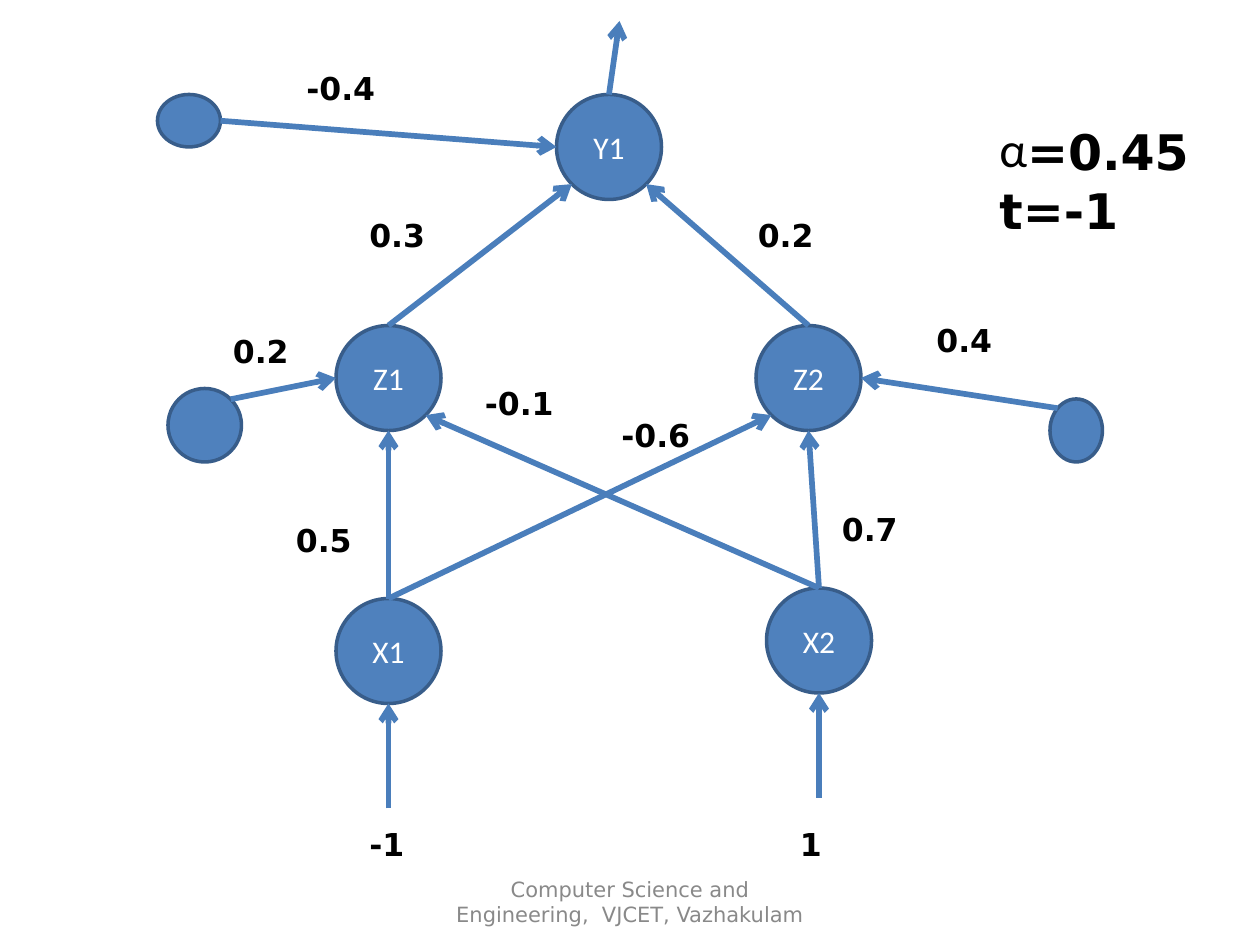
import math

from lxml import etree
from pptx import Presentation
from pptx.dml.color import RGBColor
from pptx.enum.shapes import MSO_CONNECTOR, MSO_SHAPE
from pptx.enum.text import MSO_ANCHOR, PP_ALIGN
from pptx.oxml.ns import qn
from pptx.util import Pt

ELLIPSE = MSO_SHAPE.OVAL
STRAIGHT = MSO_CONNECTOR.STRAIGHT
MIDDLE = MSO_ANCHOR.MIDDLE
CENTER = PP_ALIGN.CENTER

NODE_FILL = RGBColor(0x4F, 0x81, 0xBD)
NODE_LINE = RGBColor(0x38, 0x5D, 0x8A)
ARROW_COLOR = RGBColor(0x4A, 0x7E, 0xBB)
BLACK = RGBColor(0, 0, 0)
WHITE = RGBColor(0xFF, 0xFF, 0xFF)
FOOTER_GREY = RGBColor(0x89, 0x89, 0x89)

NODE_FONT = "Calibri"
TEXT_FONT = "DejaVu Sans"
NODE_SIZE = 60
LABEL_HEIGHT = 29

# Connection sites of an ellipse, counted anticlockwise in steps of 45 degrees
TOP, TOP_LEFT, LEFT, BOTTOM_LEFT, BOTTOM, BOTTOM_RIGHT, RIGHT, TOP_RIGHT = range(8)

# name: (left, top) of each neuron
NEURONS = {
    "X1": (192, 342),
    "X2": (438, 336),
    "Z2": (432, 186),
    "Z1": (192, 186),
    "Y1": (318, 54),
}

# name: (left, top, width, height) of each bias node
BIASES = {
    "Z2 bias": (600, 228, 30, 36),
    "Z1 bias": (96, 222, 42, 42),
    "Y1 bias": (90, 54, 36, 30),
}

# (source node, site, target node, site)
WEIGHTED_LINKS = [
    ("X1", TOP, "Z1", BOTTOM),
    ("X2", TOP, "Z2", BOTTOM),
    ("Z1", TOP, "Y1", BOTTOM_LEFT),
    ("Z2", TOP, "Y1", BOTTOM_RIGHT),
    ("Y1 bias", RIGHT, "Y1", LEFT),
    ("Z1 bias", TOP_RIGHT, "Z1", LEFT),
    ("Z2 bias", TOP_LEFT, "Z2", RIGHT),
    ("X1", TOP, "Z2", BOTTOM_LEFT),
    ("X2", TOP, "Z1", BOTTOM_RIGHT),
]

# (text, left, top, width)
LABELS = [
    ("-1", 204, 468, 36),
    ("1", 450, 468, 36),
    ("0.7", 474, 288, 48),
    ("0.5", 162, 294, 48),
    ("0.4", 528, 180, 48),
    ("0.2", 426, 120, 48),
    ("-0.6", 348, 234, 72),
    ("-0.1", 270, 216, 72),
    ("-0.4", 168, 36, 72),
    ("0.3", 204, 120, 72),
    ("0.2", 126, 186, 48),
]


def set_font(paragraph, name, size, color, bold=False):
    font = paragraph.font
    font.name = name
    font.size = Pt(size)
    font.bold = bold
    font.color.rgb = color


def add_node(slide, left, top, width, height, text=""):
    node = slide.shapes.add_shape(ELLIPSE, Pt(left), Pt(top), Pt(width), Pt(height))
    node.shadow.inherit = False
    node.fill.solid()
    node.fill.fore_color.rgb = NODE_FILL
    node.line.color.rgb = NODE_LINE
    node.line.width = Pt(2)
    if text:
        frame = node.text_frame
        frame.vertical_anchor = MIDDLE
        frame.text = text
        frame.paragraphs[0].alignment = CENTER
        set_font(frame.paragraphs[0], NODE_FONT, 18, WHITE)
    return node


def site_point(node, site):
    """Return the position of a connection site on the edge of an ellipse."""
    angle = math.radians(45 * site)
    x = node.left + node.width / 2 * (1 - math.sin(angle))
    y = node.top + node.height / 2 * (1 - math.cos(angle))
    return round(x), round(y)


def add_arrow(slide, start, end):
    arrow = slide.shapes.add_connector(STRAIGHT, *start, *end)
    arrow.line.color.rgb = ARROW_COLOR
    arrow.line.width = Pt(3.25)
    etree.SubElement(arrow.line._get_or_add_ln(), qn("a:tailEnd"), type="arrow")
    etree.SubElement(arrow._element.spPr, qn("a:effectLst"))
    return arrow


def add_text(slide, text, left, top, width, height, size, color=BLACK, bold=True):
    box = slide.shapes.add_textbox(Pt(left), Pt(top), Pt(width), Pt(height))
    frame = box.text_frame
    frame.word_wrap = True
    frame.text = text
    for paragraph in frame.paragraphs:
        set_font(paragraph, TEXT_FONT, size, color, bold)
    return frame


def add_parameters(slide):
    """Add the learning rate, whose alpha is a bullet, and the target."""
    frame = add_text(slide, "", 564, 66, 132, 75, 28)
    rate, target = frame.paragraphs[0], frame.add_paragraph()
    properties = rate._p.get_or_add_pPr()
    properties.clear()
    properties.set("marL", "0")
    properties.set("indent", "0")
    etree.SubElement(properties, qn("a:buFont"), typeface=NODE_FONT)
    etree.SubElement(properties, qn("a:buChar"), char="α")
    for paragraph, text in ((rate, "=0.45"), (target, "t=-1")):
        paragraph.text = text
        set_font(paragraph, TEXT_FONT, 28, BLACK, bold=True)


def add_footer(slide):
    text = "Computer Science and Engineering,  VJCET, Vazhakulam"
    frame = add_text(slide, text, 246, 500.5, 228, LABEL_HEIGHT, 12, FOOTER_GREY, False)
    frame.vertical_anchor = MIDDLE
    frame.paragraphs[0].alignment = CENTER


def main():
    presentation = Presentation()
    presentation.slide_width = Pt(720)
    presentation.slide_height = Pt(540)
    slide = presentation.slides.add_slide(presentation.slide_layouts[6])

    add_footer(slide)
    nodes = {name: add_node(slide, left, top, NODE_SIZE, NODE_SIZE, name)
             for name, (left, top) in NEURONS.items()}
    for name, bounds in BIASES.items():
        nodes[name] = add_node(slide, *bounds)

    for name, start_y in (("X1", 462), ("X2", 456)):
        x, y = site_point(nodes[name], BOTTOM)
        add_arrow(slide, (x, Pt(start_y)), (x, y))
    for source, source_site, target, target_site in WEIGHTED_LINKS:
        arrow = add_arrow(slide, site_point(nodes[source], source_site),
                          site_point(nodes[target], target_site))
        if source_site == TOP:
            arrow.begin_connect(nodes[source], TOP)
    output = add_arrow(slide, site_point(nodes["Y1"], TOP), (Pt(354), Pt(12)))
    output.begin_connect(nodes["Y1"], TOP)

    for text, left, top, width in LABELS:
        add_text(slide, text, left, top, width, LABEL_HEIGHT, 18)
    add_parameters(slide)
    presentation.save("out.pptx")


if __name__ == "__main__":
    main()
